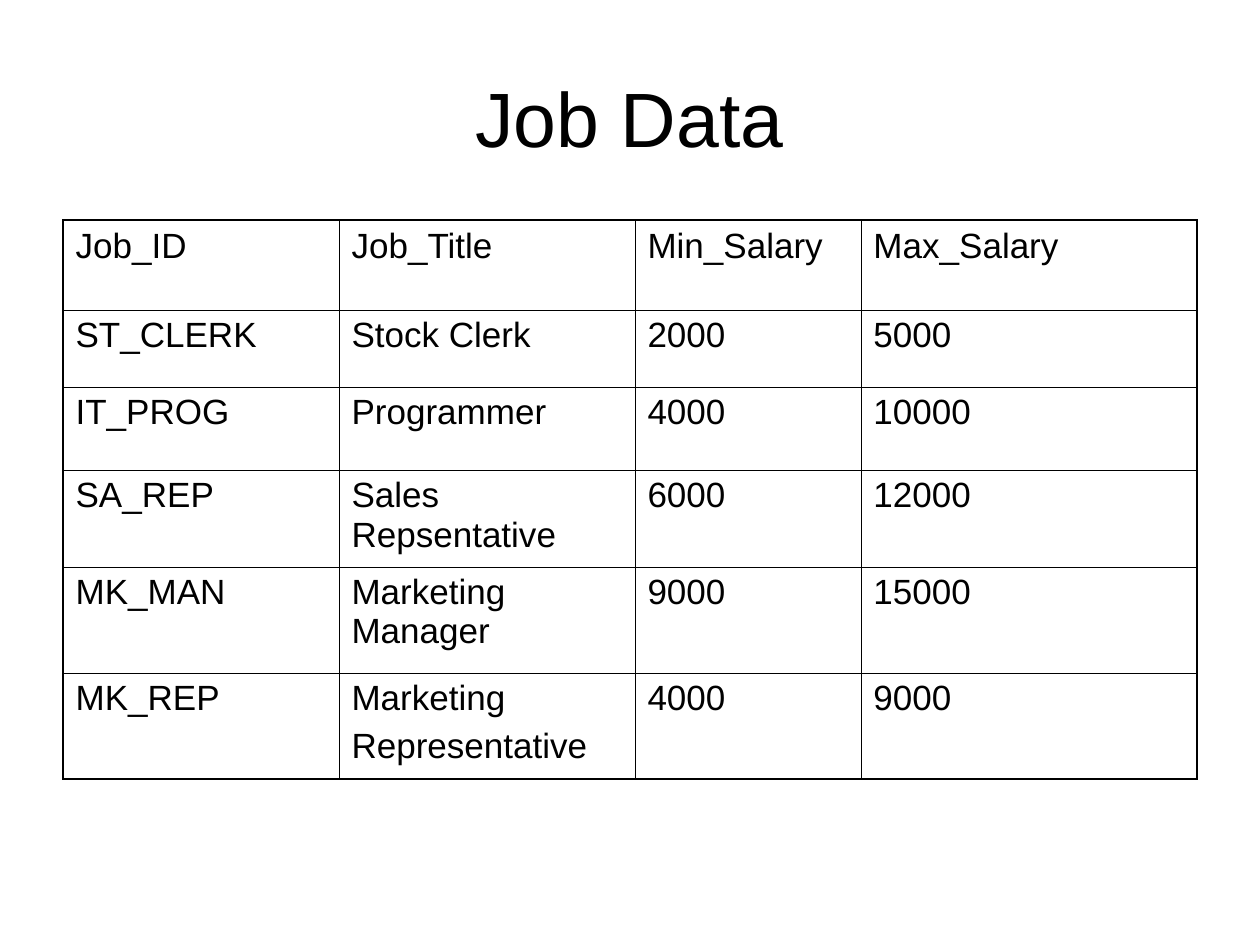
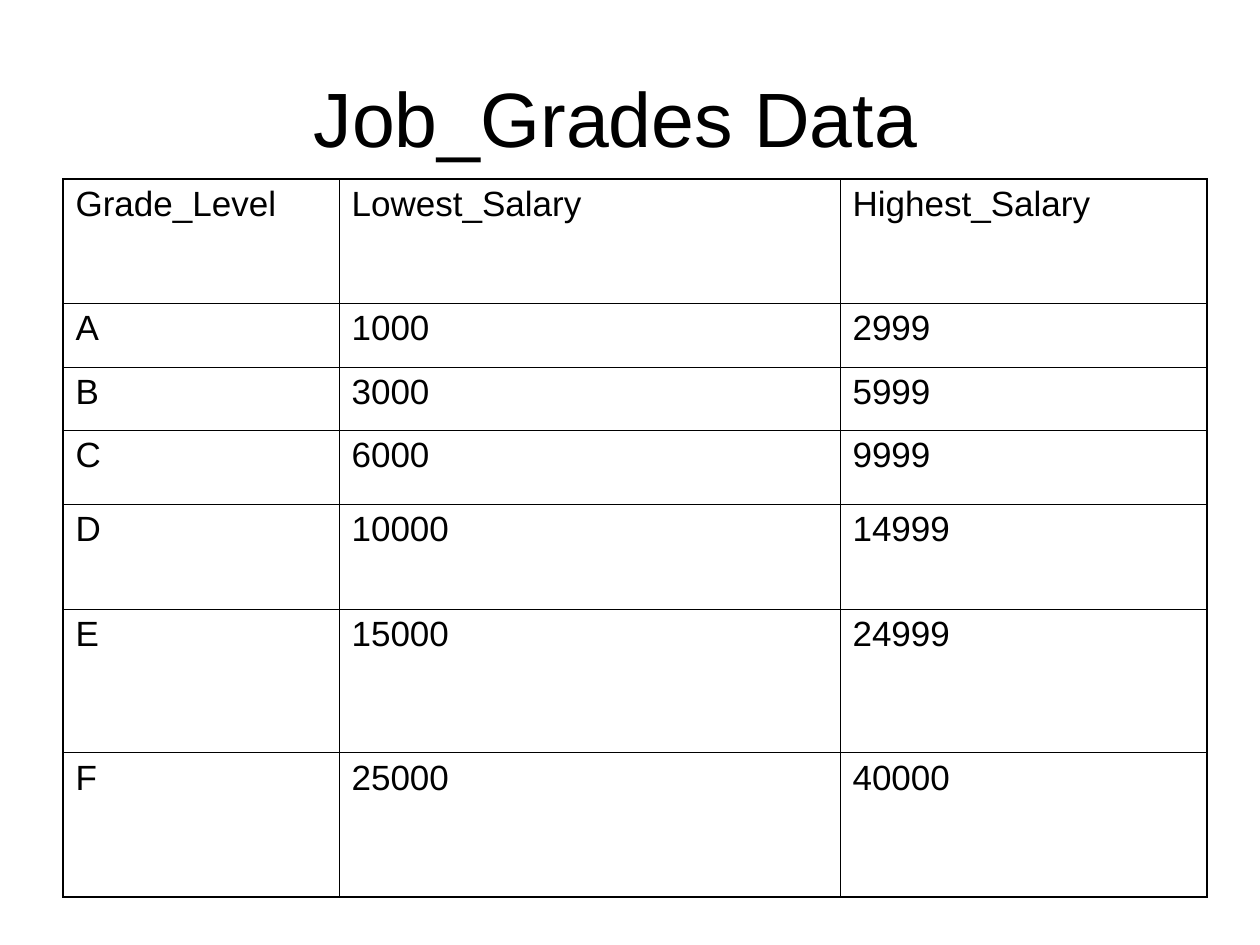
from lxml.etree import SubElement
from pptx import Presentation
from pptx.dml.color import RGBColor
from pptx.enum.text import MSO_ANCHOR, PP_ALIGN
from pptx.oxml.ns import qn
from pptx.util import Emu, Pt

EMU_PER_PX = 914400 / 126
COLORS = {"ink": "000000", "rule": "000000"}
OUTER_RULE, INNER_RULE = Pt(1.08), Pt(0.45)
LEFT = 63
TITLE_BOX = (LEFT, 38, 1134, 157)
TITLE_FONT = {"name": "Arial", "size": Pt(44)}
CELL_FONT = {"name": "Arial", "size": Pt(20)}

# title_inset is the right inset of the title; "\n" starts a new paragraph
PAGES = [
    {
        "title": "Job Data",
        "title_inset": 13,
        "top": 220,
        "columns": [276, 296, 226, 336],
        "heights": [90, 77, 83, 97, 106, 106],
        "rows": [
            ["Job_ID", "Job_Title", "Min_Salary", "Max_Salary"],
            ["ST_CLERK", "Stock Clerk", "2000", "5000"],
            ["IT_PROG", "Programmer", "4000", "10000"],
            ["SA_REP", "Sales Repsentative", "6000", "12000"],
            ["MK_MAN", "Marketing Manager", "9000", "15000"],
            ["MK_REP", "Marketing\nRepresentative", "4000", "9000"],
        ],
    },
    {
        "title": "Job_Grades Data",
        "title_inset": 41,
        "top": 179,
        "columns": [276, 501, 367],
        "heights": [124, 64, 63, 74, 105, 144, 144],
        "rows": [
            ["Grade_Level", "Lowest_Salary", "Highest_Salary"],
            ["A", "1000", "2999"],
            ["B", "3000", "5999"],
            ["C", "6000", "9999"],
            ["D", "10000", "14999"],
            ["E", "15000", "24999"],
            ["F", "25000", "40000"],
        ],
    },
]


def px(length):
    return Emu(round(length * EMU_PER_PX))


def style_font(font, formats):
    for attribute, value in formats.items():
        setattr(font, attribute, value)
    font.color.rgb = RGBColor.from_string(COLORS["ink"])


deck = Presentation()
deck.slide_width, deck.slide_height = px(1260), px(945)

for page in PAGES:
    slide = deck.slides.add_slide(deck.slide_layouts[6])

    title = slide.shapes.add_textbox(*map(px, TITLE_BOX)).text_frame
    title.word_wrap = True
    title.vertical_anchor = MSO_ANCHOR.MIDDLE
    title.margin_right = px(page["title_inset"])
    heading = title.paragraphs[0]
    heading.text = page["title"]
    heading.alignment = PP_ALIGN.CENTER
    style_font(heading.font, TITLE_FONT)

    columns, heights = page["columns"], page["heights"]
    grid = slide.shapes.add_table(
        len(heights), len(columns),
        px(LEFT), px(page["top"]), px(sum(columns)), px(sum(heights)),
    ).table
    grid.first_row = grid.horz_banding = False
    for column, width in zip(grid.columns, columns):
        column.width = px(width)
    for row, height in zip(grid.rows, heights):
        row.height = px(height)

    last_row, last_column = len(heights) - 1, len(columns) - 1
    for r, entries in enumerate(page["rows"]):
        for c, entry in enumerate(entries):
            cell = grid.cell(r, c)
            cell.text = entry
            for position, paragraph in enumerate(cell.text_frame.paragraphs):
                if position:
                    paragraph.space_before = Pt(5)
                style_font(paragraph.font, CELL_FONT)

            on_edge = {"L": c == 0, "R": c == last_column,
                       "T": r == 0, "B": r == last_row}
            properties = cell._tc.get_or_add_tcPr()
            for side, is_outer in on_edge.items():
                weight = OUTER_RULE if is_outer else INNER_RULE
                rule = SubElement(properties, qn(f"a:ln{side}"), w=str(int(weight)))
                paint = SubElement(rule, qn("a:solidFill"))
                SubElement(paint, qn("a:srgbClr"), val=COLORS["rule"])
            cell.fill.background()

deck.save("out.pptx")
